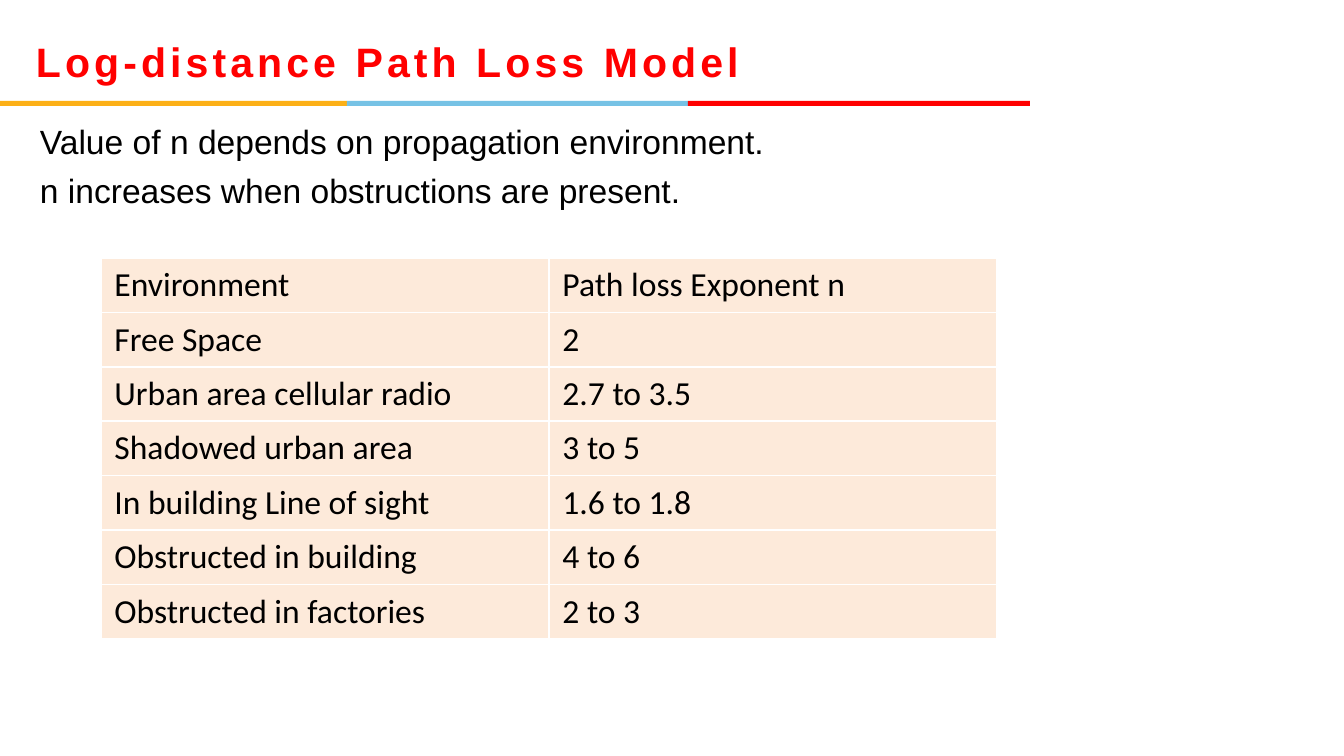
from lxml.etree import SubElement
from pptx import Presentation
from pptx.dml.color import RGBColor
from pptx.enum.shapes import MSO_SHAPE as Shape
from pptx.enum.text import MSO_ANCHOR as Anchor, PP_ALIGN as Align
from pptx.oxml.ns import qn
from pptx.util import Pt

PX = 9144000 / 1344  # EMU per px
COLORS = {
    "gold": "FCB017",
    "blue": "76C2E5",
    "red": "FF0000",
    "black": "000000",
    "white": "FFFFFF",
    "peach": "FDEADA",
}


def px(*lengths):
    return [round(length * PX) for length in lengths]


def color(name):
    return RGBColor.from_string(COLORS[name])


class SlideBuilder:
    def __init__(self, slide):
        self.slide = slide

    def style(self, paragraph, size, font="Arial", ink="black", bold=False):
        paragraph.font.size = Pt(size)
        paragraph.font.name = font
        paragraph.font.bold = bold
        paragraph.font.color.rgb = color(ink)

    def frame(self, shape, anchor, inset=0):
        frame = shape.text_frame
        frame.word_wrap = True
        frame.vertical_anchor = anchor
        frame.margin_left = frame.margin_right = 0
        frame.margin_top, frame.margin_bottom = px(inset, inset)
        return frame

    def bar(self, x, y, w, h, fill):
        bar = self.slide.shapes.add_shape(Shape.RECTANGLE, *px(x, y, w, h))
        bar.shadow.inherit = False
        bar.fill.solid()
        bar.fill.fore_color.rgb = color(fill)
        bar.line.fill.background()

    def title(self, text, x, y, w, h):
        title = self.slide.shapes.title
        title.left, title.top, title.width, title.height = px(x, y, w, h)
        heading = self.frame(title, Anchor.MIDDLE).paragraphs[0]
        heading.alignment = Align.LEFT
        run = heading.add_run()
        run.text = text
        run.font._element.set("spc", "220")
        self.style(heading, 22, ink="red", bold=True)

    def text(self, lines, x, y, w, h):
        box = self.slide.shapes.add_textbox(*px(x, y, w, h))
        frame = self.frame(box, Anchor.TOP, inset=7)
        for i, line in enumerate(lines):
            paragraph = frame.add_paragraph() if i else frame.paragraphs[0]
            paragraph.text = line
            paragraph.alignment = Align.JUSTIFY
            if i:
                paragraph.space_before = Pt(4.5)
            self.style(paragraph, 18)

    def cell(self, cell, text):
        cell.text = text
        self.style(cell.text_frame.paragraphs[0], 18, font="Calibri")
        properties = cell._tc.get_or_add_tcPr()
        for side in "LRTB":
            border = SubElement(properties, qn(f"a:ln{side}"), w=str(Pt(1)))
            fill = SubElement(border, qn("a:solidFill"))
            SubElement(fill, qn("a:srgbClr"), val=COLORS["white"])
        cell.fill.solid()
        cell.fill.fore_color.rgb = color("peach")

    def table(self, rows, x, y, w, h):
        table = self.slide.shapes.add_table(
            len(rows), len(rows[0]), *px(x, y, w, h)).table
        table.horz_banding = False
        table.first_row = False
        for r, row in enumerate(rows):
            for c, text in enumerate(row):
                self.cell(table.cell(r, c), text)


def main():
    deck = Presentation()
    deck.slide_width, deck.slide_height = px(1344, 756)
    builder = SlideBuilder(deck.slides.add_slide(deck.slide_layouts[5]))

    # Three-colour rule under the title
    edges = [0, 347, 688, 1030]
    for left, right, fill in zip(edges, edges[1:], ["gold", "blue", "red"]):
        builder.bar(left, 101, right - left, 5, fill)

    # Title and statements
    builder.title("Log-distance Path Loss Model", 36, 18, 961, 86)
    builder.text([
        "Value of n depends on propagation environment.",
        "n increases when obstructions are present.",
    ], 40, 114, 1250, 600)

    # Path loss exponents by environment
    builder.table([
        ("Environment", "Path loss Exponent n"),
        ("Free Space", "2"),
        ("Urban area cellular radio", "2.7 to 3.5"),
        ("Shadowed urban area", "3 to 5"),
        ("In building Line of sight", "1.6 to 1.8"),
        ("Obstructed in building", "4 to 6"),
        ("Obstructed in factories", "2 to 3"),
    ], 101, 258, 896, 381)

    deck.save("out.pptx")


if __name__ == "__main__":
    main()
